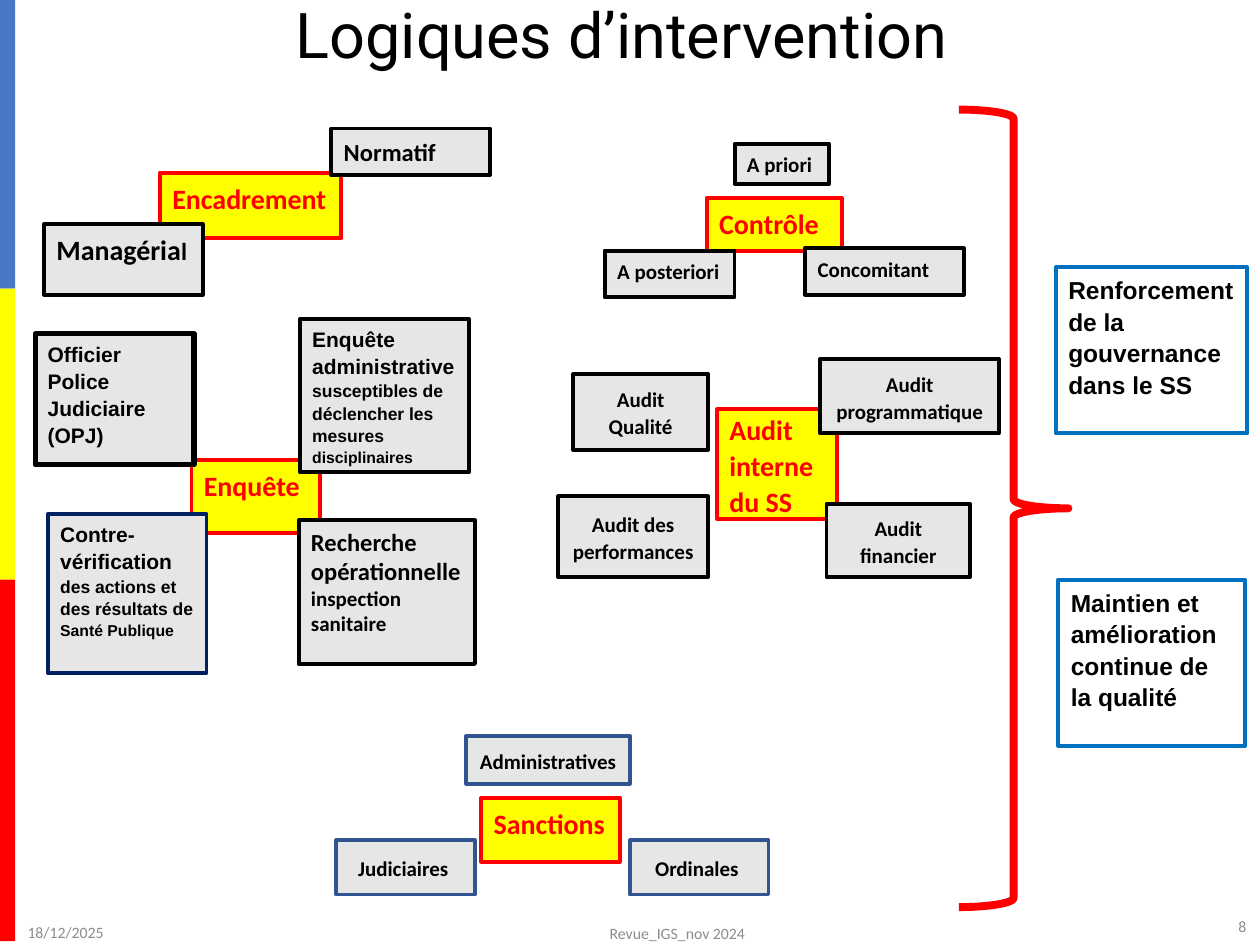
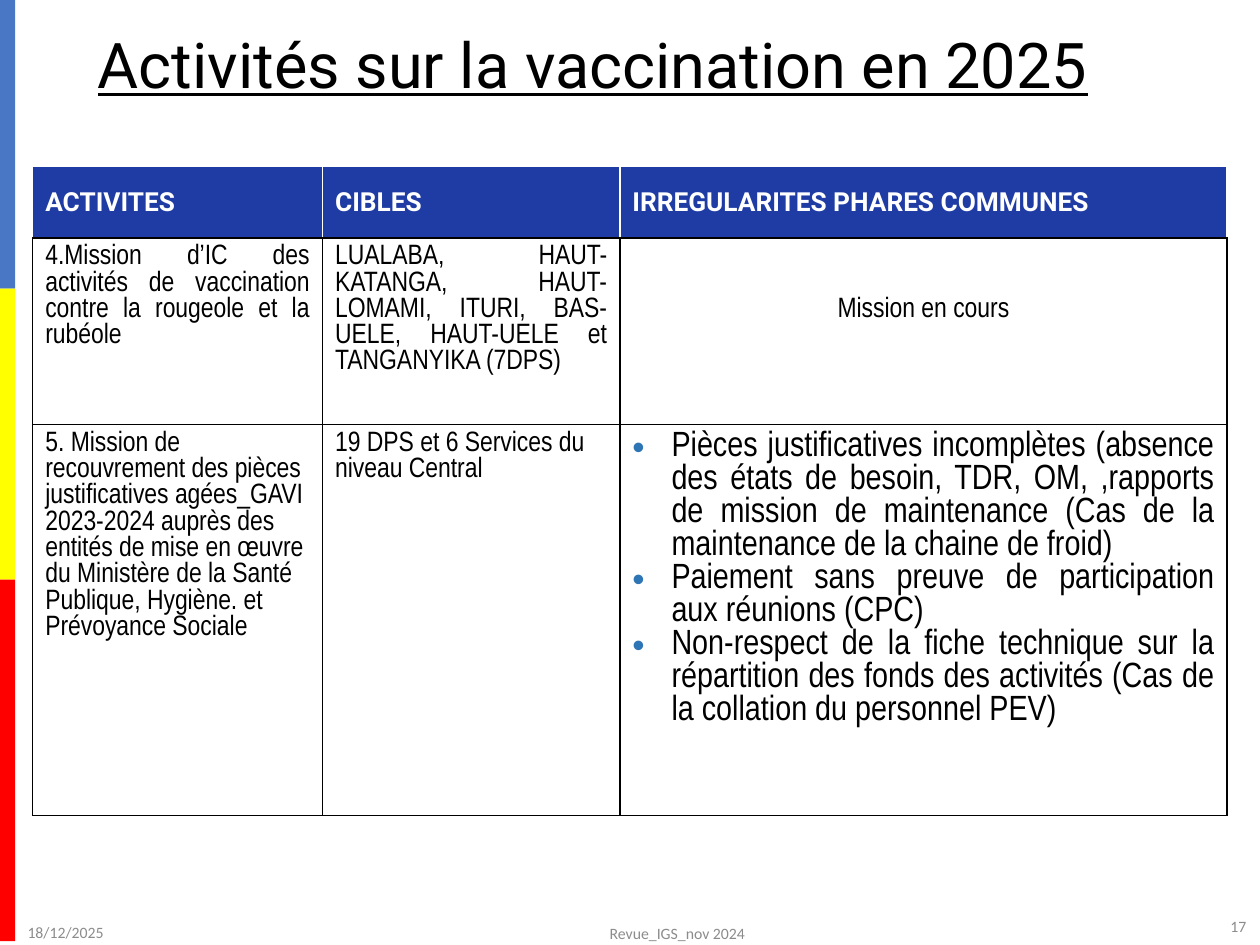
"""Build two slides: logics of intervention and vaccination activities."""
from lxml import etree
from pptx import Presentation, util as u
from pptx.dml.color import RGBColor
from pptx.enum import shapes, text
from pptx.oxml.ns import qn

WIDE, HIGH = 10, 7.5
INK, RED, GOLD, GREY, WHITE = "000000", "FF0000", "FFFF00", "E7E6E6", "FFFFFF"
NAVY, BLUE, SKY, PALE = "002060", "325491", "0070C0", "8C8C8C"
HEAD, DOT = "1F3CA5", "2E75B6"
LEFT, MID, RIGHT = text.PP_ALIGN.LEFT, text.PP_ALIGN.CENTER, text.PP_ALIGN.RIGHT
JUST = text.PP_ALIGN.JUSTIFY
TOP, AMID = text.MSO_ANCHOR.TOP, text.MSO_ANCHOR.MIDDLE

BANDS = [("4A76C6", 2.29), (GOLD, 2.31), (RED, 2.87)]
FOOT = [("18/12/2025", (0.12, 7.2, 2.25, 0.4), LEFT),
        ("Revue_IGS_nov 2024", (3.43, 7.13, 3.89, 0.55), MID)]
PAGE = (7.74, 7.15, 2.25, 0.4)

HUB = dict(fill=GOLD, line=RED, ink=RED, size=16)
SAT = dict(fill=GREY, line=INK)
ARIAL = dict(SAT, font="Arial")
CORE = dict(SAT, align=MID, anchor=AMID)
LAW = dict(CORE, line=BLUE)
GOAL = dict(line=SKY, font="Arial", size=14)

BOXES = [
    ("Encadrement", (1.27, 1.37, 1.44, 0.52), HUB),
    ([("Managéria", 16), ("l", 14)], (0.35, 1.78, 1.26, 0.56), SAT),
    ("Normatif", (2.63, 1.02, 1.26, 0.37), dict(SAT, size=14)),
    ("Contrôle", (5.61, 1.57, 1.07, 0.42), HUB),
    ("A priori", (5.83, 1.14, 0.75, 0.32), SAT),
    ("Concomitant", (6.39, 1.97, 1.26, 0.37), SAT),
    ("A posteriori", (4.8, 1.99, 1.03, 0.37), SAT),
    ("Enquête", (1.52, 3.65, 1.02, 0.58), HUB),
    ("Officier Police Judiciaire (OPJ)", (0.28, 2.65, 1.26, 1.04),
     dict(ARIAL, width=3)),
    ([("Contre-vérification ", 12),
      ("des actions et des résultats de ", 10), ("Santé Publique", 9)],
     (0.38, 4.08, 1.26, 1.26), dict(ARIAL, line=NAVY)),
    ([("Enquête administrative ", 12),
      ("susceptibles de déclencher les mesures ", 10), ("disciplinaires", 9)],
     (2.38, 2.53, 1.34, 1.22), ARIAL),
    ([("Recherche opérationnelle ", 14), ("inspection sanitaire", 12)],
     (2.37, 4.13, 1.4, 1.14), dict(SAT, align=JUST, space=1)),
    ("Audit interne du SS", (5.69, 3.25, 0.95, 0.87), dict(HUB, anchor=AMID)),
    ("Audit Qualité", (4.55, 2.97, 1.07, 0.6), CORE),
    ("Audit des performances", (4.43, 3.94, 1.19, 0.64), CORE),
    ("Audit financier", (6.56, 4, 1.14, 0.58), CORE),
    ("Audit programmatique", (6.51, 2.85, 1.42, 0.59), CORE),
    ("Sanctions", (3.82, 6.33, 1.1, 0.51), HUB),
    ("Judiciaires ", (2.67, 6.67, 1.1, 0.43), LAW),
    ("Ordinales ", (5, 6.67, 1.1, 0.43), LAW),
    ("Administratives", (3.7, 5.84, 1.3, 0.38), LAW),
    ("Renforcement de la gouvernance dans le SS", (8.38, 2.12, 1.52, 1.32), GOAL),
    ("Maintien et amélioration continue de la qualité",
     (8.4, 4.6, 1.48, 1.32), GOAL),
]
BRACE = (7.61, 0.87, 0.87, 6.33)

COLS, ROWS = (2.3, 2.36, 4.82), (0.57, 1.48, 2.46)
GRID = (0.26, 1.32, sum(COLS), sum(ROWS))
BODY = dict(font="Arial Narrow", size=16)
FULL = dict(BODY, align=JUST)
TITLE = dict(font="Roboto", size=15, ink=WHITE, bold=True)
CELLS = [
    [(["ACTIVITES"], TITLE), (["CIBLES"], TITLE),
     (["IRREGULARITES PHARES COMMUNES"], TITLE)],
    [(["4.Mission d’IC des activités de vaccination contre la rougeole et la "
       "rubéole"], FULL),
     (["LUALABA, HAUT-KATANGA, HAUT-LOMAMI, ITURI, BAS-UELE, HAUT-UELE et "
       "TANGANYIKA (7DPS)"], FULL),
     (["Mission en cours"], dict(BODY, align=MID, drop=0.42))],
    [(["5. Mission de recouvrement des pièces",
       "justificatives agées_GAVI 2023-2024 auprès des entités de mise en œuvre "
       "du Ministère de la Santé Publique, Hygiène. et Prévoyance Sociale"], BODY),
     (["19 DPS et 6 Services du niveau Central"], BODY),
     (["Pièces justificatives incomplètes (absence des états de besoin, TDR, OM, "
       ",rapports de mission de maintenance (Cas de la maintenance de la chaine "
       "de froid)",
       "Paiement sans preuve de participation aux réunions (CPC)",
       "Non-respect de la fiche technique sur la répartition des fonds des "
       "activités (Cas de la collation du personnel PEV)"],
      dict(FULL, size=20, dots=True))],
]


def rgb(tone):
    return RGBColor.from_string(tone)


def place(box):
    return [u.Inches(v) for v in box]


def style(para, font="Calibri", size=12, ink=INK, bold=False, align=LEFT, space=1):
    para.alignment, para.line_spacing = align, space
    face = para.font
    face.name, face.bold = font, bold
    face.color.rgb = rgb(ink)
    if size:
        face.size = u.Pt(size)


def shape(slide, kind, box, fill=None, line=None, width=2.25):
    form = slide.shapes.add_shape(kind, *place(box))
    form.shadow.inherit = False
    if fill:
        form.fill.solid()
        form.fill.fore_color.rgb = rgb(fill)
    else:
        form.fill.background()
    if line:
        form.line.color.rgb = rgb(line)
        form.line.width = u.Pt(width)
    else:
        form.line.fill.background()
    return form


def label(slide, words, box, fill=None, line=None, width=2.25, anchor=TOP,
          size=12, space=1.07, **look):
    form = shape(slide, shapes.MSO_SHAPE.RECTANGLE, box, fill, line, width)
    frame = form.text_frame
    frame.word_wrap, frame.vertical_anchor = True, anchor
    para = frame.paragraphs[0]
    if isinstance(words, str):
        para.text = words
    else:
        size = None
        for part, points in words:
            run = para.add_run()
            run.text, run.font.size = part, u.Pt(points)
    style(para, size=size, bold=True, space=space, **look)


def start(deck, title, box, page, under=False):
    slide = deck.slides.add_slide(deck.slide_layouts[5])
    head = slide.shapes.title
    head.left, head.top, head.width, head.height = place(box)
    frame = head.text_frame
    frame.text, frame.word_wrap = title, True
    frame.auto_size, frame.vertical_anchor = text.MSO_AUTO_SIZE.NONE, AMID
    para = frame.paragraphs[0]
    style(para, "Roboto", 36, align=MID, space=0.9)
    para.font.underline = under
    top = 0
    for tone, tall in BANDS:
        shape(slide, shapes.MSO_SHAPE.RECTANGLE, (0, top, 0.12, tall), tone)
        top += tall
    for words, spot, align in FOOT + [(page, PAGE, RIGHT)]:
        frame = slide.shapes.add_textbox(*place(spot)).text_frame
        frame.text, frame.word_wrap = words, True
        frame.vertical_anchor = AMID
        style(frame.paragraphs[0], size=9, ink=PALE, align=align)
    return slide


def bullet(para):
    props = para._p.get_or_add_pPr()
    props.set("marL", str(u.Inches(0.31)))
    props.set("indent", str(-u.Inches(0.31)))
    tone = etree.SubElement(props, qn("a:buClr"))
    etree.SubElement(tone, qn("a:srgbClr"), val=DOT)
    etree.SubElement(props, qn("a:buFont"), typeface="Arial")
    etree.SubElement(props, qn("a:buChar"), char="•")


def border(cell, tones):
    props = cell._tc.get_or_add_tcPr()
    for spot, (side, tone) in enumerate(zip("LRTB", tones)):
        edge = etree.Element(qn("a:ln" + side), w=str(u.Pt(1)))
        fill = etree.SubElement(edge, qn("a:solidFill"))
        etree.SubElement(fill, qn("a:srgbClr"), val=tone)
        props.insert(spot, edge)


def write(cell, lines, first, drop=0, dots=False, **look):
    cell.fill.solid()
    cell.fill.fore_color.rgb = rgb(HEAD if first else WHITE)
    cell.vertical_anchor = AMID if first else TOP
    cell.margin_top = u.Inches(0.05 + drop)
    border(cell, [WHITE] * 3 + [INK] if first else [INK] * 4)
    cell.text_frame.text = "\n".join(lines)
    for para in cell.text_frame.paragraphs:
        if dots:
            bullet(para)
        style(para, **look)


def logic(deck):
    slide = start(deck, "Logiques d’intervention ", (0.69, 0.05, 8.61, 0.5), "8")
    for words, box, look in BOXES:
        label(slide, words, box, **look)
    shape(slide, shapes.MSO_SHAPE.RIGHT_BRACE, BRACE, line=RED, width=4.5)


def vaccine(deck):
    slide = start(deck, "Activités sur la vaccination en 2025",
                  (0.4, 0.29, 8.61, 0.5), "17", True)
    table = slide.shapes.add_table(len(ROWS), len(COLS), *place(GRID)).table
    for col, wide in zip(table.columns, COLS):
        col.width = u.Inches(wide)
    for row, tall, items in zip(table.rows, ROWS, CELLS):
        row.height = u.Inches(tall)
        for cell, (lines, look) in zip(row.cells, items):
            write(cell, lines, items is CELLS[0], **look)


def main():
    deck = Presentation()
    deck.slide_width, deck.slide_height = place((WIDE, HIGH))
    logic(deck)
    vaccine(deck)
    deck.save("out.pptx")


if __name__ == "__main__":
    main()
